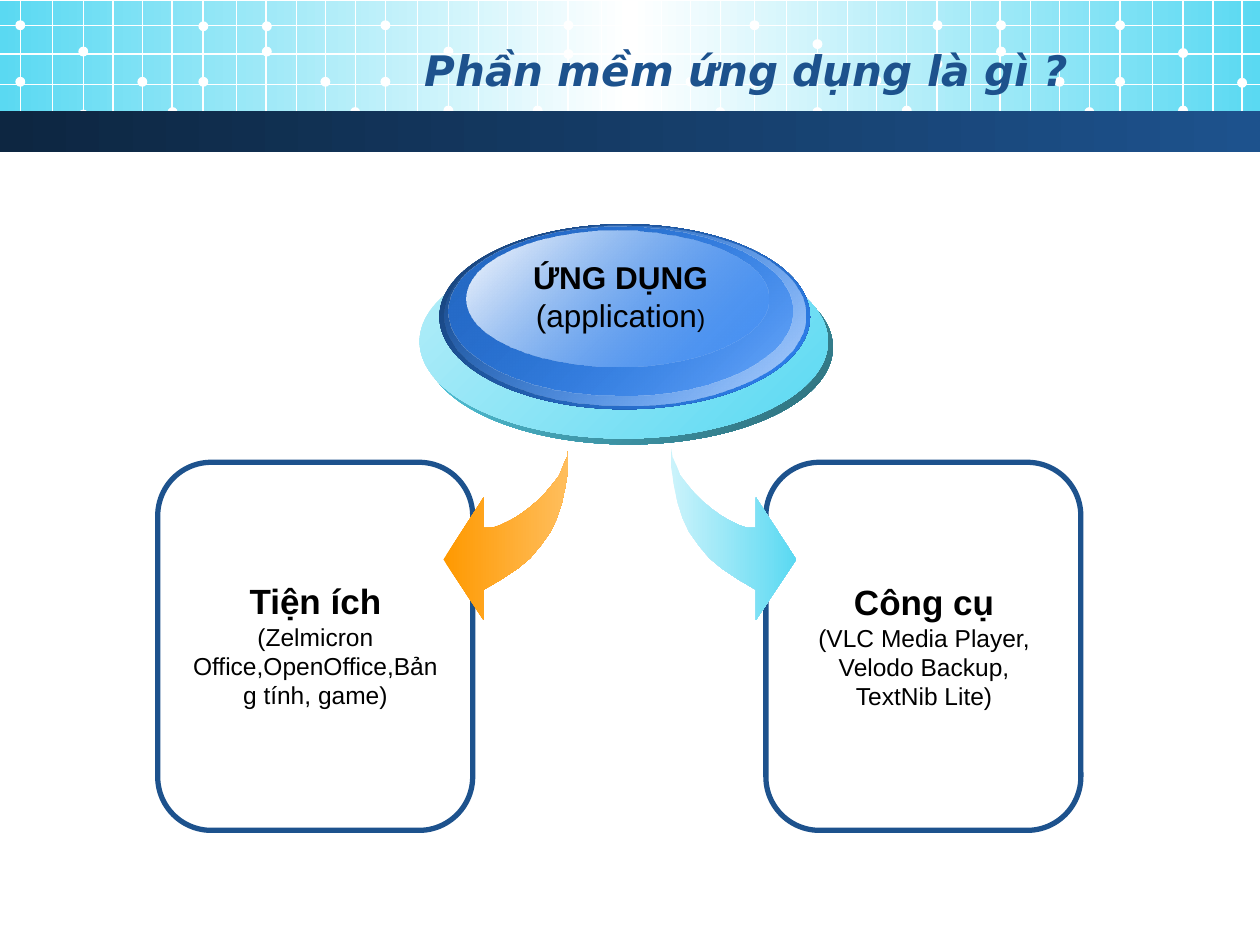
from lxml.etree import SubElement
from pptx import Presentation
from pptx.dml.color import RGBColor
from pptx.enum.shapes import MSO_CONNECTOR, MSO_SHAPE
from pptx.enum.text import MSO_ANCHOR, PP_ALIGN
from pptx.oxml.ns import qn
from pptx.util import Cm, Pt

WIDTH, HEIGHT = 25.4, 19.05
NAVY, CYAN, WHITE, BLACK = "1D528D", "5AD9F2", "FFFFFF", "000000"

BAND = (0, 0.03, WIDTH, 2.59)
BAND_STOPS = [(0, CYAN, 100), (50, WHITE, 100), (100, CYAN, 100)]
BAR = (0, 2.24, WIDTH, 0.83)
BAR_STOPS = [(0, "0D2641", 100), (100, NAVY, 100)]

TILE_STARTS = [0.41, 7.77, 15.21, 22.58]
COLUMN_OFFSETS = [0, 0.65, 1.27, 1.87, 2.46, 3.06, 3.68, 4.36, 4.95, 5.56, 6.15, 6.76]
COLUMN_BOTTOM = 2.79
ROW_TOPS = [0.51, 1.09, 1.7, 2.26]
DOT = 0.2
DOT_OFFSETS = [-0.1, -0.1, 1.17, 1.17, 2.36, 2.97, 3.59, 3.59, 4.87, 4.87, 6.05, 6.65]
DOT_TOPS = [
    [1.55, 0.41, 0.94, 2.21, 1.55, 2.16, 1.55, 0.43, 0.94, 0.43, 1.55, 2.16],
    [1.55, 0.41, 0.94, 2.13, 1.55, 2.13, 0.99, 0.41, 0.97, 0.41, 1.55, 2.16],
    [1.57, 0.41, 0.79, 2.16, 1.52, 2.13, 1.19, 0.41, 0.94, 0.41, 1.55, 2.16],
    [1.55, 0.41, 0.97, 2.13, 1.57],
]

CARD_LEFTS = [15.44, 3.18]
CARD_TOP, CARD_WIDTH, CARD_HEIGHT = 9.32, 6.35, 7.42

MIRROR = 24.99
ARROW = [
    (11.46, 9.04), (11.46, 9.42), (11.4, 9.8), (11.33, 10.13), (11.23, 10.44),
    (11.1, 10.72), (10.9, 11), (10.69, 11.25), (10.44, 11.46), (10.11, 11.68),
    (9.75, 11.89), (9.75, 12.5), (8.94, 11.28), (9.75, 10.03), (9.75, 10.64),
    (9.93, 10.64), (10.08, 10.59), (10.29, 10.49), (10.46, 10.39), (10.64, 10.26),
    (10.82, 10.11), (11, 9.93), (11.15, 9.75), (11.28, 9.58), (11.35, 9.4), (11.43, 9.22),
]
ARROWS = [
    (ARROW, [(0, "FF9900", 100), (100, "FFBE5D", 100)]),
    ([(MIRROR - x, y) for x, y in ARROW], [(0, "CBF3FB", 100), (100, CYAN, 100)]),
]

BUTTON_LAYERS = [
    ((8.56, 5.05, 8.23, 3.91), (CYAN, 100), ("2C6A76", 100)),
    ((8.46, 4.93, 8.23, 3.91), ("B6EEF9", 100), (CYAN, 100)),
    ((8.86, 4.52, 7.47, 3.73), ("163E72", 100), ("2F85F7", 100)),
    ((8.97, 4.55, 7.26, 3.63), ("2F85F7", 0), ("B6D4FC", 100)),
    ((9.04, 4.57, 6.93, 3.4), ("2569C4", 100), ("2F85F7", 48)),
    ((9.4, 4.65, 6.1, 2.74), (WHITE, 100), ("2F85F7", 38)),
]

TITLE = ((1.27, 0.63, 20.52, 1.57), [[(
    "Phần mềm ứng dụng là gì ?",
    {"size": Pt(24), "name": "DejaVu Sans", "bold": True, "italic": True},
)]])
LABELS = [
    ((3.53, 11.56, 5.66, 2.9), True, [
        [("Tiện ích", {"size": Pt(20), "bold": True})],
        [("(Zelmicron Office,OpenOffice,Bảng tính, game)", {"size": Pt(14)})],
    ]),
    ((10.49, 5.08, 4.04, 1.78), False, [
        [("ỨNG DỤNG", {"size": Pt(18), "bold": True})],
        [("(application", {"size": Pt(18)}), (")", {"size": Pt(14)})],
    ]),
    ((15.8, 11.58, 5.66, 2.9), True, [
        [("Công cụ", {"size": Pt(20), "bold": True})],
        [("(VLC Media Player, Velodo Backup, TextNib Lite)", {"size": Pt(14)})],
    ]),
]


def color(value):
    return RGBColor.from_string(value)


def lengths(values):
    return [Cm(value) for value in values]


def paint_gradient(shape, stops, angle=0):
    shape.shadow.inherit = False
    shape.line.fill.background()
    shape.fill.gradient()
    shape.fill.gradient_angle = (360 - angle) % 360
    stop_list = next(shape._element.iter(qn("a:gsLst")))
    for old_stop in list(stop_list):
        stop_list.remove(old_stop)
    for position, value, opacity in stops:
        stop = SubElement(stop_list, qn("a:gs"), pos=str(position * 1000))
        tint = SubElement(stop, qn("a:srgbClr"), val=value)
        if opacity < 100:
            SubElement(tint, qn("a:alpha"), val=str(opacity * 1000))


def add_gradient(page, kind, place, stops, angle=0):
    shape = page.shapes.add_shape(kind, *lengths(place))
    paint_gradient(shape, stops, angle)


def add_grid_line(page, *ends):
    line = page.shapes.add_connector(MSO_CONNECTOR.STRAIGHT, *lengths(ends))
    line.line.color.rgb = color(WHITE)
    line.line.width = Pt(0.75)
    SubElement(line._element.spPr, qn("a:effectLst"))


def add_dot(page, left, top):
    dot = page.shapes.add_shape(MSO_SHAPE.OVAL, *lengths((left, top, DOT, DOT)))
    dot.shadow.inherit = False
    dot.fill.solid()
    dot.fill.fore_color.rgb = color(WHITE)
    dot.line.fill.background()


def add_header(page):
    add_gradient(page, MSO_SHAPE.RECTANGLE, BAND, BAND_STOPS)
    for start, tops in zip(TILE_STARTS, DOT_TOPS):
        for offset in COLUMN_OFFSETS:
            if start + offset < WIDTH:
                add_grid_line(page, start + offset, 0, start + offset, COLUMN_BOTTOM)
        for offset, top in zip(DOT_OFFSETS, tops):
            add_dot(page, start + offset, top)
    for top in ROW_TOPS:
        add_grid_line(page, 0, top, WIDTH, top)
    add_gradient(page, MSO_SHAPE.RECTANGLE, BAR, BAR_STOPS)


def add_card(page, left):
    place = lengths((left, CARD_TOP, CARD_WIDTH, CARD_HEIGHT))
    card = page.shapes.add_shape(MSO_SHAPE.ROUNDED_RECTANGLE, *place)
    card.adjustments[0] = 0.17
    card.shadow.inherit = False
    card.fill.background()
    card.line.color.rgb = color(NAVY)
    card.line.width = Pt(3)


def add_arrow(page, points, stops):
    start, *rest = [lengths(point) for point in points]
    builder = page.shapes.build_freeform(*start)
    builder.add_line_segments(rest, close=True)
    paint_gradient(builder.convert_to_shape(), stops)


def add_text(page, place, paras, value=BLACK, align=PP_ALIGN.CENTER,
             anchor=MSO_ANCHOR.TOP, wrap=True):
    box = page.shapes.add_textbox(*lengths(place))
    frame = box.text_frame
    frame.word_wrap = wrap
    frame.vertical_anchor = anchor
    for index, spans in enumerate(paras):
        para = frame.add_paragraph() if index else frame.paragraphs[0]
        para.alignment = align
        for text, formats in spans:
            span = para.add_run()
            span.text = text
            span.font.color.rgb = color(value)
            for name, setting in {"name": "Arial", "bold": False, **formats}.items():
                setattr(span.font, name, setting)


def main():
    deck = Presentation()
    deck.slide_width, deck.slide_height = lengths((WIDTH, HEIGHT))
    page = deck.slides.add_slide(deck.slide_layouts[6])
    add_header(page)
    add_text(page, *TITLE, NAVY, PP_ALIGN.RIGHT, MSO_ANCHOR.MIDDLE)
    for left in CARD_LEFTS:
        add_card(page, left)
    for points, stops in ARROWS:
        add_arrow(page, points, stops)
    for place, first, last in BUTTON_LAYERS:
        add_gradient(page, MSO_SHAPE.OVAL, place, [(0, *first), (100, *last)], 45)
    for place, wrap, paras in LABELS:
        add_text(page, place, paras, wrap=wrap)
    deck.save("out.pptx")


if __name__ == "__main__":
    main()
